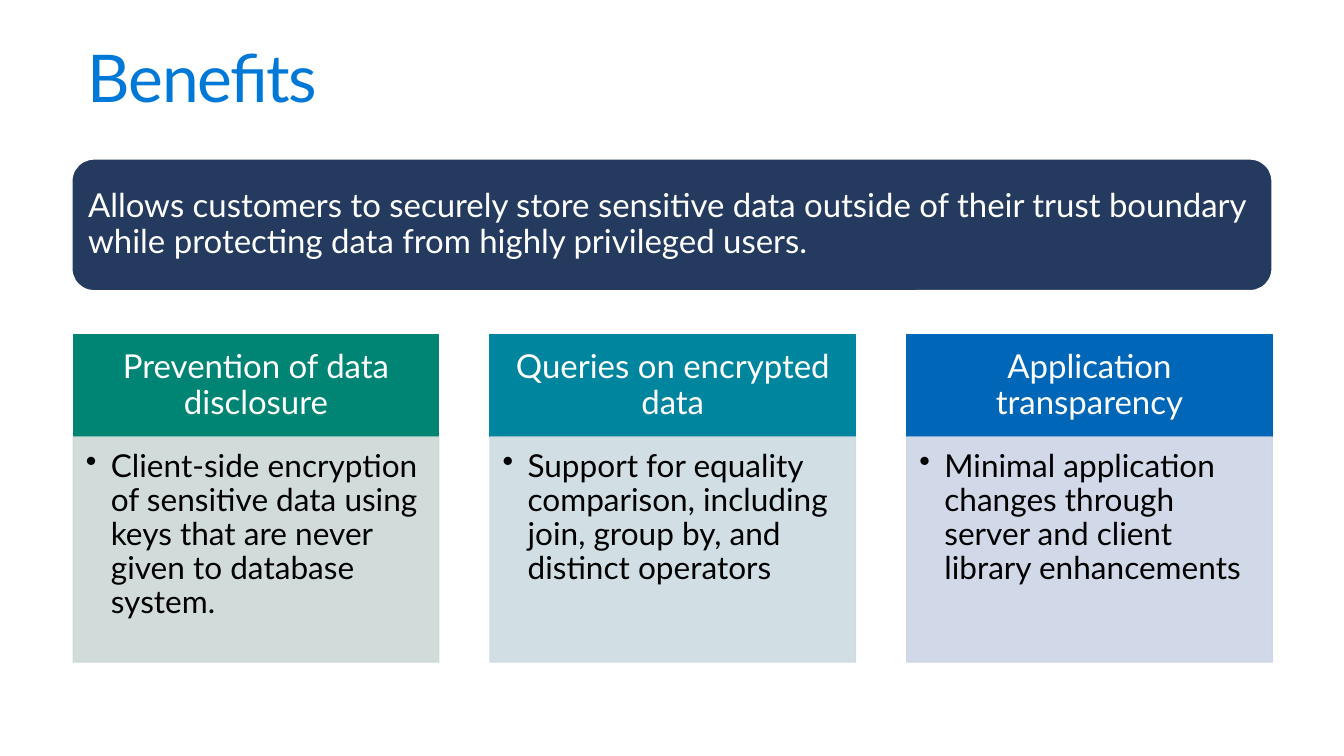
from typing import NamedTuple

from lxml.etree import SubElement
from pptx import Presentation
from pptx.dml.color import RGBColor
from pptx.enum.shapes import MSO_SHAPE as Preset
from pptx.enum.text import MSO_ANCHOR as Anchor, PP_ALIGN as Align
from pptx.oxml.ns import qn
from pptx.shapes.autoshape import Shape
from pptx.slide import Slide
from pptx.util import Cm, Pt

FONT = "Lato"
WHITE = "FFFFFF"
BLACK = "000000"
BLUE = "0078D7"
NAVY = "243A5E"

COLUMN_LEFT = 1.88
COLUMN_WIDTH = 9.4
COLUMN_PITCH = 10.71
HEADER_TOP = 8.61
HEADER_HEIGHT = 2.62
BODY_HEIGHT = 5.79


class Box(NamedTuple):
    left: float
    top: float
    width: float
    height: float


class Insets(NamedTuple):
    left: float
    top: float
    right: float
    bottom: float


class Benefit(NamedTuple):
    heading: str
    detail: str
    header_color: str
    body_color: str


BENEFITS = [
    Benefit(
        "Prevention of data disclosure",
        "Client-side encryption of sensitive data using keys that are never given to database system.",
        "008575",
        "CCD9D6",
    ),
    Benefit(
        "Queries on encrypted data",
        "Support for equality comparison, including join, group by, and distinct operators",
        "00859E",
        "CCDBE0",
    ),
    Benefit(
        "Application transparency",
        "Minimal application changes through server and client library enhancements",
        "0067B8",
        "CCD4E6",
    ),
]


def rgb(color: str) -> RGBColor:
    return RGBColor.from_string(color)


def write_text(shape: Shape, text: str, *, insets: Insets, size: float = 24,
               color: str = WHITE, align: Align = Align.LEFT,
               anchor: Anchor = Anchor.MIDDLE, bullet: bool = False,
               spacing: float = 0) -> None:
    frame = shape.text_frame
    frame.word_wrap = True
    frame.vertical_anchor = anchor
    frame.margin_left, frame.margin_top, frame.margin_right, frame.margin_bottom = map(Cm, insets)
    paragraph = frame.paragraphs[0]
    paragraph.alignment = align
    paragraph.line_spacing = 0.9
    run = paragraph.add_run()
    run.text = text
    run.font.name = FONT
    run.font.size = Pt(size)
    run.font.color.rgb = rgb(color)
    if spacing:
        run.font._element.set("spc", str(round(spacing * 100)))
    if bullet:
        properties = paragraph._p.get_or_add_pPr()
        properties.set("marL", str(Cm(0.64)))
        properties.set("indent", str(-Cm(0.64)))
        SubElement(properties, qn("a:buChar"), char="•")


def add_panel(slide: Slide, box: Box, fill: str, *, line: str = "",
              preset: Preset = Preset.RECTANGLE, opacity: int = 100) -> Shape:
    shape = slide.shapes.add_shape(preset, *map(Cm, box))
    shape.shadow.inherit = False
    shape.fill.solid()
    shape.fill.fore_color.rgb = rgb(fill)
    shape.line.color.rgb = rgb(line or fill)
    shape.line.width = Pt(0.85)
    if opacity < 100:
        for color in shape._element.spPr.iter(qn("a:srgbClr")):
            SubElement(color, qn("a:alpha"), val=str(opacity * 1000))
    return shape


def add_benefit(slide: Slide, benefit: Benefit, left: float) -> None:
    header = add_panel(slide, Box(left, HEADER_TOP, COLUMN_WIDTH, HEADER_HEIGHT),
                       benefit.header_color)
    write_text(header, benefit.heading, insets=Insets(0.48, 0.28, 0.48, 0.28),
               align=Align.CENTER)
    body = add_panel(slide, Box(left, HEADER_TOP + HEADER_HEIGHT, COLUMN_WIDTH, BODY_HEIGHT),
                     benefit.body_color, opacity=90)
    write_text(body, benefit.detail, insets=Insets(0.33, 0.33, 0.46, 0.51),
               size=23, color=BLACK, anchor=Anchor.TOP, bullet=True)


def main() -> None:
    presentation = Presentation()
    presentation.slide_width = Cm(34.54)
    presentation.slide_height = Cm(19.43)
    slide = presentation.slides.add_slide(presentation.slide_layouts[6])

    title = slide.shapes.add_textbox(*map(Cm, Box(1.85, 0.91, 30.84, 1.3)))
    write_text(title, "Benefits", insets=Insets(0.41, 0.25, 0.41, 0.25),
               size=48, color=BLUE, anchor=Anchor.TOP, spacing=-1)

    for index, benefit in enumerate(BENEFITS):
        add_benefit(slide, benefit, COLUMN_LEFT + index * COLUMN_PITCH)

    banner = add_panel(slide, Box(1.85, 4.09, 30.84, 3.38), NAVY, line=WHITE,
                       preset=Preset.ROUNDED_RECTANGLE)
    write_text(
        banner,
        "Allows customers to securely store sensitive data outside of their trust boundary "
        "while protecting data from highly privileged users.",
        insets=Insets(0.25, 0.25, 0.25, 0.25),
    )

    presentation.save("out.pptx")


if __name__ == "__main__":
    main()
